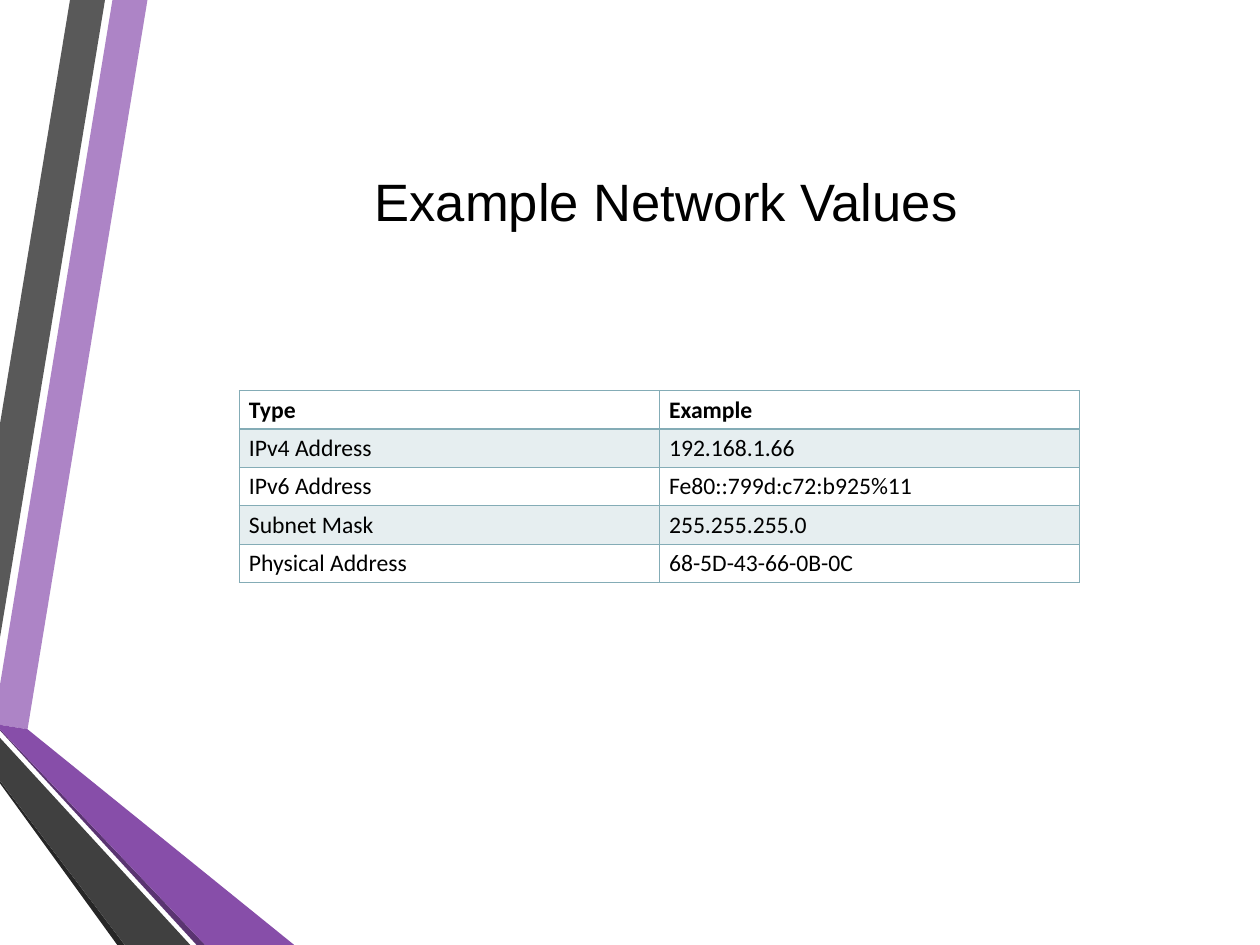
from lxml import etree
from pptx import Presentation
from pptx.dml.color import RGBColor
from pptx.enum.text import MSO_ANCHOR, PP_ALIGN
from pptx.oxml.ns import qn
from pptx.util import Cm, Pt

MIDDLE = MSO_ANCHOR.MIDDLE
CENTER = PP_ALIGN.CENTER

BLACK = RGBColor(0x00, 0x00, 0x00)
TEAL = RGBColor(0x84, 0xAC, 0xB6)
LILAC = RGBColor(0xAD, 0x84, 0xC6)
PURPLE = RGBColor(0x87, 0x4E, 0xA9)
DARK_PURPLE = RGBColor(0x5A, 0x34, 0x71)
GREY = RGBColor(0x59, 0x59, 0x59)
DARK_GREY = RGBColor(0x40, 0x40, 0x40)
CHARCOAL = RGBColor(0x26, 0x26, 0x26)

SLIDE_WIDTH, SLIDE_HEIGHT = 33.83, 25.37
BAND_OPACITY = 20

RIBBONS = [
    (LILAC, [(0, 18.39), (0, 19.46), (0.74, 19.58), (3.96, 0), (3.02, 0)]),
    (GREY, [(2.82, 0), (1.88, 0), (0, 11.38), (0, 17.12)]),
    (CHARCOAL, [(0, 20.96), (0, 21.03), (3.15, SLIDE_HEIGHT), (3.35, SLIDE_HEIGHT)]),
    (DARK_PURPLE, [(0, 19.58), (0, 19.61), (5.28, SLIDE_HEIGHT), (5.51, SLIDE_HEIGHT)]),
    (PURPLE, [(0, 19.58), (5.51, SLIDE_HEIGHT), (7.9, SLIDE_HEIGHT), (0.74, 19.58), (0, 19.46)]),
    (DARK_GREY, [(0, 20.96), (3.35, SLIDE_HEIGHT), (5.11, SLIDE_HEIGHT), (0, 19.81)]),
]

NETWORK_VALUES = [
    ("Type", "Example"),
    ("IPv4 Address", "192.168.1.66"),
    ("IPv6 Address", "Fe80::799d:c72:b925%11"),
    ("Subnet Mask", "255.255.255.0"),
    ("Physical Address", "68-5D-43-66-0B-0C"),
]


def add_run(paragraph, text, font_name, size, bold=False):
    """Append one black run to a paragraph."""
    run = paragraph.add_run()
    run.text = text
    run.font.name = font_name
    run.font.size = Pt(size)
    run.font.bold = bold
    run.font.color.rgb = BLACK


def add_ribbons(slide, left, top):
    """Draw the folded ribbons from the given corner."""
    for color, points in RIBBONS:
        corners = [(Cm(left + x), Cm(top + y)) for x, y in points]
        builder = slide.shapes.build_freeform(*corners[0])
        builder.add_line_segments(corners[1:], close=True)
        shape = builder.convert_to_shape()
        shape.shadow.inherit = False
        shape.fill.solid()
        shape.fill.fore_color.rgb = color
        shape.line.fill.background()


def add_title(slide, left, top, width, height):
    """Place the title centred in its box."""
    shape = slide.shapes.add_textbox(Cm(left), Cm(top), Cm(width), Cm(height))
    text_frame = shape.text_frame
    text_frame.word_wrap = True
    text_frame.vertical_anchor = MIDDLE
    paragraph = text_frame.paragraphs[0]
    paragraph.alignment = CENTER
    add_run(paragraph, "Example Network Values", "Arial", 40)


def set_borders(cell, top_width, bottom_width):
    """Outline a cell in teal with the given top and bottom widths in points."""
    properties = cell._tc.get_or_add_tcPr()
    widths = {"a:lnL": 1, "a:lnR": 1, "a:lnT": top_width, "a:lnB": bottom_width}
    for position, (tag, width) in enumerate(widths.items()):
        line = etree.Element(qn(tag), w=str(Pt(width)))
        fill = etree.SubElement(line, qn("a:solidFill"))
        etree.SubElement(fill, qn("a:srgbClr"), val=str(TEAL))
        properties.insert(position, line)


def set_band_fill(cell):
    """Fill a cell with translucent teal."""
    cell.fill.solid()
    cell.fill.fore_color.rgb = TEAL
    color = cell._tc.tcPr.find(".//" + qn("a:srgbClr"))
    etree.SubElement(color, qn("a:alpha"), val=str(BAND_OPACITY * 1000))


def add_network_table(slide, left, top, width, height):
    """Build the banded table of network values in its box."""
    frame = slide.shapes.add_table(
        len(NETWORK_VALUES), len(NETWORK_VALUES[0]), Cm(left), Cm(top), Cm(width), Cm(height)
    )
    table = frame.table
    table.horz_banding = False
    for row_index, values in enumerate(NETWORK_VALUES):
        is_header = row_index == 0
        for column_index, value in enumerate(values):
            cell = table.cell(row_index, column_index)
            add_run(cell.text_frame.paragraphs[0], value, "Calibri", 18, is_header)
            if row_index % 2:
                set_band_fill(cell)
            else:
                cell.fill.background()
            set_borders(cell, 2 if row_index == 1 else 1, 2 if is_header else 1)


def main():
    """Build and save the slide."""
    presentation = Presentation()
    presentation.slide_width = Cm(SLIDE_WIDTH)
    presentation.slide_height = Cm(SLIDE_HEIGHT)
    slide = presentation.slides.add_slide(presentation.slide_layouts[6])
    add_ribbons(slide, 0, 0)
    add_title(slide, 3.63, 1.7, 28.5, 7.34)
    add_network_table(slide, 6.43, 10.49, 22.56, 5.15)
    presentation.save("out.pptx")


if __name__ == "__main__":
    main()
